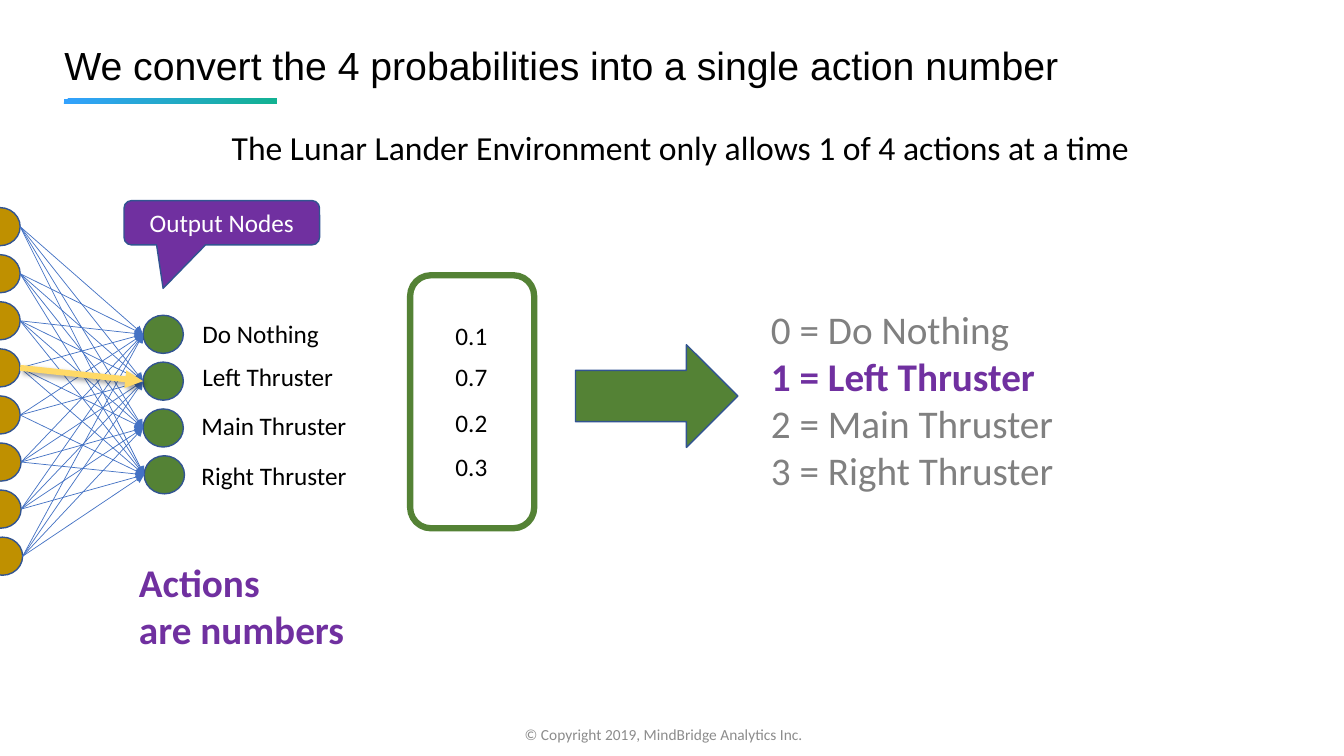
from dataclasses import dataclass
from itertools import product

from lxml.etree import SubElement
from pptx import Presentation
from pptx.dml.color import RGBColor
from pptx.enum.shapes import MSO_CONNECTOR, MSO_SHAPE
from pptx.enum.text import MSO_ANCHOR, MSO_AUTO_SIZE, PP_ALIGN
from pptx.oxml.ns import qn
from pptx.shapes.autoshape import Shape
from pptx.shapes.connector import Connector
from pptx.slide import Slide
from pptx.text.text import TextFrame
from pptx.util import Pt


@dataclass(frozen=True)
class Theme:
    black: str = "000000"
    white: str = "FFFFFF"
    muted: str = "808080"
    footer: str = "8C8C8C"
    purple: str = "7030A0"
    green: str = "548235"
    gold: str = "BF9000"
    outline: str = "325491"
    link: str = "4472C4"
    highlight: str = "FFD966"
    accent_start: str = "33A1FF"
    accent_end: str = "12B291"
    title_font: str = "Arial"
    body_font: str = "Calibri"
    large: float = 28
    subtitle: float = 24
    label: float = 18
    small: float = 11


THEME = Theme()


@dataclass(frozen=True)
class Box:
    left: float
    top: float
    width: float
    height: float

    def lengths(self) -> tuple[Pt, Pt, Pt, Pt]:
        return Pt(self.left), Pt(self.top), Pt(self.width), Pt(self.height)


@dataclass(frozen=True)
class Line:
    text: str
    size: float = THEME.label
    color: str = THEME.black
    bold: bool = False
    font: str = THEME.body_font


@dataclass(frozen=True)
class TextBlock:
    box: Box
    lines: tuple[Line, ...]
    wrap: bool = False
    align: PP_ALIGN = PP_ALIGN.LEFT
    anchor: MSO_ANCHOR = MSO_ANCHOR.TOP
    spacing: float = 1.0


@dataclass(frozen=True)
class Action:
    name: str
    probability: str
    label_left: float
    label_top: float
    label_width: float
    value_top: float
    node_left: float


ACTIONS = (
    Action("Do Nothing", "0.1", 137.5, 224, 98.6, 225.4, 102.2),
    Action("Left Thruster", "0.7", 137.5, 254.9, 109.4, 254.9, 102.2),
    Action("Main Thruster", "0.2", 136.8, 289.4, 118.8, 287.3, 102.2),
    Action("Right Thruster", "0.3", 136.8, 325.4, 119.5, 319, 103),
)
CHOSEN_ACTION = 1
HIDDEN_LEFTS = (-14.4, -14.4, -14.4, -14.4, -14.4, -13.7, -13.7, -12.6)
HIDDEN_TOP, OUTPUT_TOP = 148.3, 225.2
HIDDEN_PITCH, OUTPUT_PITCH = 33.63, 33.45
NODE_WIDTH, NODE_HEIGHT = 28.8, 27.2
HIGHLIGHTED_LINK = (3, CHOSEN_ACTION)
MISSING_LINK = (4, 2)


def write_lines(frame: TextFrame, block: TextBlock) -> None:
    frame.word_wrap = block.wrap
    frame.vertical_anchor = block.anchor
    for index, line in enumerate(block.lines):
        paragraph = frame.add_paragraph() if index else frame.paragraphs[0]
        paragraph.alignment = block.align
        paragraph.line_spacing = block.spacing
        run = paragraph.add_run()
        run.text = line.text
        run.font.name = line.font
        run.font.size = Pt(line.size)
        run.font.bold = line.bold
        run.font.color.rgb = RGBColor.from_string(line.color)


def add_text(slide: Slide, block: TextBlock) -> None:
    frame = slide.shapes.add_textbox(*block.box.lengths()).text_frame
    write_lines(frame, block)
    frame.auto_size = MSO_AUTO_SIZE.NONE if block.wrap else MSO_AUTO_SIZE.SHAPE_TO_FIT_TEXT


def add_shape(slide: Slide, kind: MSO_SHAPE, box: Box, fill: str | None,
              line: str = THEME.outline, line_width: float = 1) -> Shape:
    shape = slide.shapes.add_shape(kind, *box.lengths())
    shape.shadow.inherit = False
    if fill:
        shape.fill.solid()
        shape.fill.fore_color.rgb = RGBColor.from_string(fill)
    else:
        shape.fill.background()
    shape.line.color.rgb = RGBColor.from_string(line)
    shape.line.width = Pt(line_width)
    return shape


def add_node(slide: Slide, left: float, top: float, fill: str) -> Shape:
    return add_shape(slide, MSO_SHAPE.OVAL, Box(left, top, NODE_WIDTH, NODE_HEIGHT), fill)


def add_link(slide: Slide, start: Shape, end: Shape, color: str, width: float) -> Connector:
    connector = slide.shapes.add_connector(
        MSO_CONNECTOR.STRAIGHT,
        start.left + start.width, start.top + start.height // 2,
        end.left, end.top + end.height // 2)
    connector.line.color.rgb = RGBColor.from_string(color)
    connector.line.width = Pt(width)
    properties = connector._element.spPr
    SubElement(properties.find(qn("a:ln")), qn("a:tailEnd"), type="triangle")
    SubElement(properties, qn("a:effectLst"))
    return connector


def add_link_shadow(connector: Connector) -> None:
    effects = connector._element.spPr.find(qn("a:effectLst"))
    shadow = SubElement(effects, qn("a:outerShdw"), blurRad=str(Pt(4)), dist=str(Pt(3)),
                        dir="2700000", algn="tl", rotWithShape="0")
    color = SubElement(shadow, qn("a:srgbClr"), val=THEME.black)
    SubElement(color, qn("a:alpha"), val="40000")


def add_title_accent(slide: Slide) -> None:
    accent = add_shape(slide, MSO_SHAPE.RECTANGLE, Box(45.7, 70.4, 152, 3.8), None)
    accent.line.fill.background()
    accent.fill.gradient()
    accent.fill.gradient_angle = 315
    colors = (THEME.accent_start, THEME.accent_end)
    for position, (stop, color) in enumerate(zip(accent.fill.gradient_stops, colors)):
        stop.position = position
        stop.color.rgb = RGBColor.from_string(color)


def add_network(slide: Slide) -> None:
    outputs = [add_node(slide, action.node_left, OUTPUT_TOP + OUTPUT_PITCH * index, THEME.green)
               for index, action in enumerate(ACTIONS)]
    hidden = [add_node(slide, left, HIDDEN_TOP + HIDDEN_PITCH * index, THEME.gold)
              for index, left in enumerate(HIDDEN_LEFTS)]
    for source, target in product(range(len(hidden)), range(len(outputs))):
        if (source, target) != MISSING_LINK:
            add_link(slide, hidden[source], outputs[target], THEME.link, 0.5)
    source, target = HIGHLIGHTED_LINK
    add_link_shadow(add_link(slide, hidden[source], outputs[target], THEME.highlight, 4.25))


def add_callout(slide: Slide) -> None:
    box = Box(88.6, 143.3, 139.7, 31.7)
    callout = add_shape(slide, MSO_SHAPE.ROUNDED_RECTANGULAR_CALLOUT, box, THEME.purple)
    for index, value in enumerate((-0.3, 1.48, 0.17)):
        callout.adjustments[index] = value
    write_lines(callout.text_frame, TextBlock(
        box, (Line("Output Nodes", color=THEME.white),), True, PP_ALIGN.CENTER, MSO_ANCHOR.MIDDLE))


def main() -> None:
    presentation = Presentation()
    presentation.slide_width, presentation.slide_height = Pt(960), Pt(540)
    slide = presentation.slides.add_slide(presentation.slide_layouts[6])
    add_title_accent(slide)
    add_shape(slide, MSO_SHAPE.ROUNDED_RECTANGLE, Box(293, 196.6, 88.6, 180.7),
              None, THEME.green, 4.5)
    add_network(slide)
    add_callout(slide)
    add_shape(slide, MSO_SHAPE.RIGHT_ARROW, Box(411.1, 246.2, 115.9, 73.4), THEME.green)
    title = Line("We convert the 4 probabilities into a single action number",
                 THEME.large, font=THEME.title_font)
    subtitle = Line("The Lunar Lander Environment only allows 1 of 4 actions at a time",
                    THEME.subtitle)
    footer = Line("© Copyright 2019, MindBridge Analytics Inc.", THEME.small, THEME.footer)
    summary = tuple(Line(text, THEME.large, THEME.purple, True)
                    for text in ("Actions", "are numbers"))
    mapping = tuple(
        Line(f"{number} = {action.name}", THEME.large,
             THEME.purple if number == CHOSEN_ACTION else THEME.muted, number == CHOSEN_ACTION)
        for number, action in enumerate(ACTIONS))
    blocks = [
        TextBlock(Box(38.9, 29.5, 836.6, 35.3), (title,), True, spacing=0.9),
        TextBlock(Box(158.4, 87.1, 656, 36), (subtitle,)),
        TextBlock(Box(92.2, 395.3, 162.7, 74.9), summary),
        TextBlock(Box(543.6, 214.6, 225.4, 143.3), mapping),
        TextBlock(Box(108.7, 516.2, 730.8, 16.6), (footer,), True,
                  PP_ALIGN.CENTER, MSO_ANCHOR.MIDDLE),
    ]
    for action in ACTIONS:
        label_box = Box(action.label_left, action.label_top, action.label_width, 28.8)
        value_box = Box(318.2, action.value_top, 37.4, 28.8)
        blocks.append(TextBlock(label_box, (Line(action.name),)))
        blocks.append(TextBlock(value_box, (Line(action.probability),)))
    for block in blocks:
        add_text(slide, block)
    presentation.save("out.pptx")


if __name__ == "__main__":
    main()
